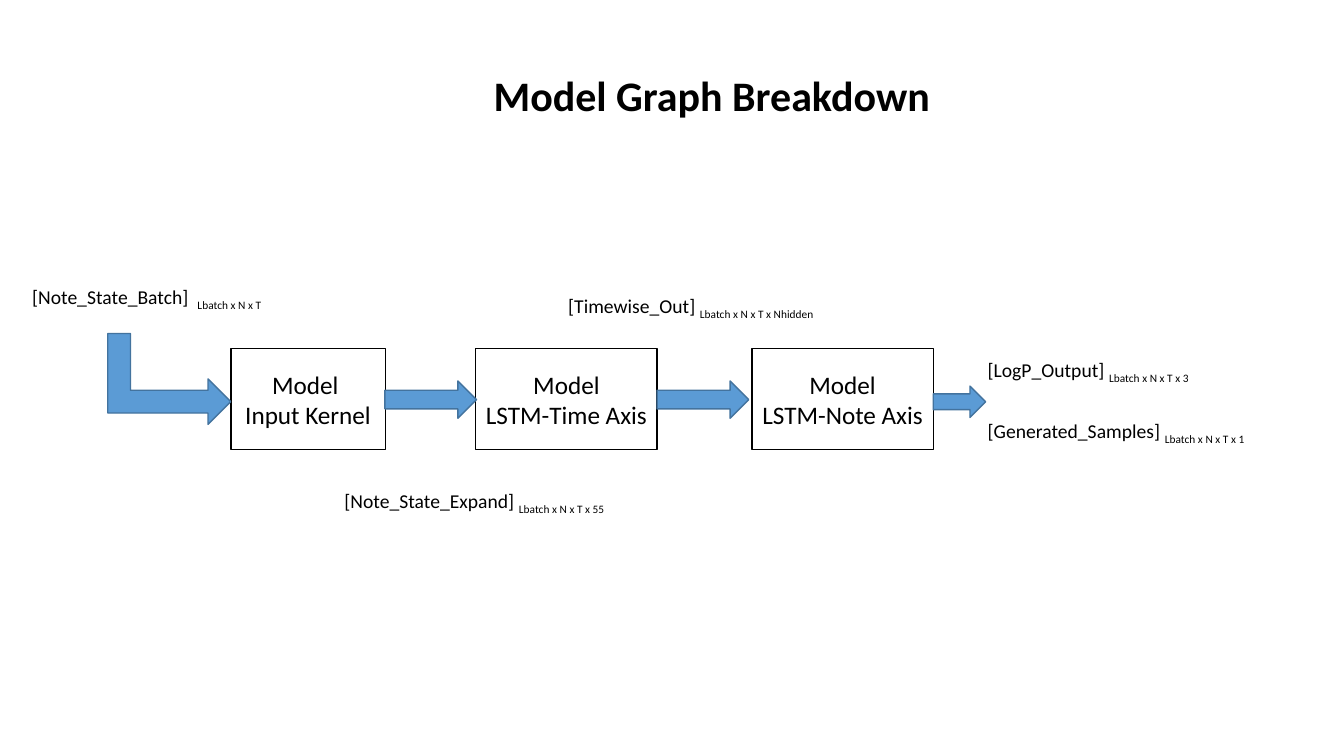
from typing import NamedTuple

from pptx import Presentation
from pptx.dml.color import RGBColor
from pptx.enum.shapes import MSO_SHAPE
from pptx.enum.text import MSO_ANCHOR as ANCHOR, MSO_AUTO_SIZE as AUTO, PP_ALIGN as ALIGN
from pptx.shapes.autoshape import Shape
from pptx.slide import Slide
from pptx.text.text import _Paragraph as Paragraph, _Run as Run
from pptx.util import Cm, Pt

BLACK = RGBColor(0x00, 0x00, 0x00)
WHITE = RGBColor(0xFF, 0xFF, 0xFF)
BLUE = RGBColor(0x5B, 0x9B, 0xD5)
DARK_BLUE = RGBColor(0x43, 0x73, 0x9E)
FONT = "Calibri"
BOX_TOP, BOX_HEIGHT = 8.79, 2.54
LABEL_HEIGHT = 0.86


class Stage(NamedTuple):
    left: float
    width: float
    lines: tuple[str, str]


class Label(NamedTuple):
    left: float
    top: float
    width: float
    name: str
    dims: str


class Arrow(NamedTuple):
    left: float
    top: float
    width: float
    height: float
    kind: MSO_SHAPE = MSO_SHAPE.RIGHT_ARROW
    rotation: float = 0


STAGES = [
    Stage(5.82, 3.89, ("Model ", "Input Kernel")),
    Stage(11.99, 4.57, ("Model", "LSTM-Time Axis")),
    Stage(18.95, 4.57, ("Model", "LSTM-Note Axis")),
]
LABELS = [
    Label(0.56, 7.06, 7.87, "[Note_State_Batch]  ", "Lbatch x N x T"),
    Label(8.43, 12.19, 8.33, "[Note_State_Expand] ", "Lbatch x N x T x 55"),
    Label(14.07, 7.29, 8.33, "[Timewise_Out] ", "Lbatch x N x T x Nhidden"),
    Label(24.64, 8.89, 7.77, "[LogP_Output] ", "Lbatch x N x T x 3 "),
    Label(24.64, 10.44, 7.98, "[Generated_Samples] ", "Lbatch x N x T x 1"),
]
ARROWS = [
    Arrow(3.12, 8.0, 2.29, 3.1, MSO_SHAPE.BENT_UP_ARROW, 90),
    Arrow(9.7, 9.6, 2.31, 0.94),
    Arrow(16.56, 9.6, 2.31, 0.94),
    Arrow(23.52, 9.73, 1.32, 0.79),
]


def add_run(p: Paragraph, text: str, size: float, bold: bool = False) -> Run:
    r = p.add_run()
    r.text = text
    r.font.name = FONT
    r.font.size = Pt(size)
    r.font.bold = bold
    r.font.color.rgb = BLACK
    return r


def add_filled(s: Slide, kind: MSO_SHAPE, left: float, top: float, width: float,
               height: float, fill: RGBColor, line: RGBColor) -> Shape:
    sp = s.shapes.add_shape(kind, Cm(left), Cm(top), Cm(width), Cm(height))
    sp.shadow.inherit = False
    sp.fill.solid()
    sp.fill.fore_color.rgb = fill
    sp.line.color.rgb = line
    sp.line.width = Pt(1)
    return sp


def add_title(s: Slide, text: str) -> None:
    tf = s.shapes.add_textbox(Cm(12.19), Cm(1.63), Cm(11.63), Cm(1.55)).text_frame
    tf.word_wrap = False
    tf.auto_size = AUTO.SHAPE_TO_FIT_TEXT
    add_run(tf.paragraphs[0], text, 30, bold=True)


def add_stage(s: Slide, stage: Stage) -> None:
    sp = add_filled(s, MSO_SHAPE.RECTANGLE, stage.left, BOX_TOP, stage.width,
                    BOX_HEIGHT, WHITE, BLACK)
    tf = sp.text_frame
    tf.word_wrap = True
    tf.vertical_anchor = ANCHOR.MIDDLE
    tf.margin_left = tf.margin_right = Cm(0.1)
    for i, line in enumerate(stage.lines):
        p = tf.add_paragraph() if i else tf.paragraphs[0]
        p.alignment = ALIGN.CENTER
        add_run(p, line, 18)


def add_label(s: Slide, label: Label) -> None:
    tf = s.shapes.add_textbox(Cm(label.left), Cm(label.top), Cm(label.width),
                              Cm(LABEL_HEIGHT)).text_frame
    tf.word_wrap = True
    tf.auto_size = AUTO.SHAPE_TO_FIT_TEXT
    p = tf.paragraphs[0]
    add_run(p, label.name, 14)
    r = add_run(p, label.dims, 14)
    r._r.get_or_add_rPr().set("baseline", "-25000")


def add_arrow(s: Slide, arrow: Arrow) -> None:
    sp = add_filled(s, arrow.kind, arrow.left, arrow.top, arrow.width,
                    arrow.height, BLUE, DARK_BLUE)
    sp.rotation = arrow.rotation


prs = Presentation()
prs.slide_width, prs.slide_height = Cm(33.87), Cm(19.05)
s = prs.slides.add_slide(prs.slide_layouts[6])
add_title(s, "Model Graph Breakdown")
for stage in STAGES:
    add_stage(s, stage)
for label in LABELS:
    add_label(s, label)
for arrow in ARROWS:
    add_arrow(s, arrow)
prs.save("out.pptx")
